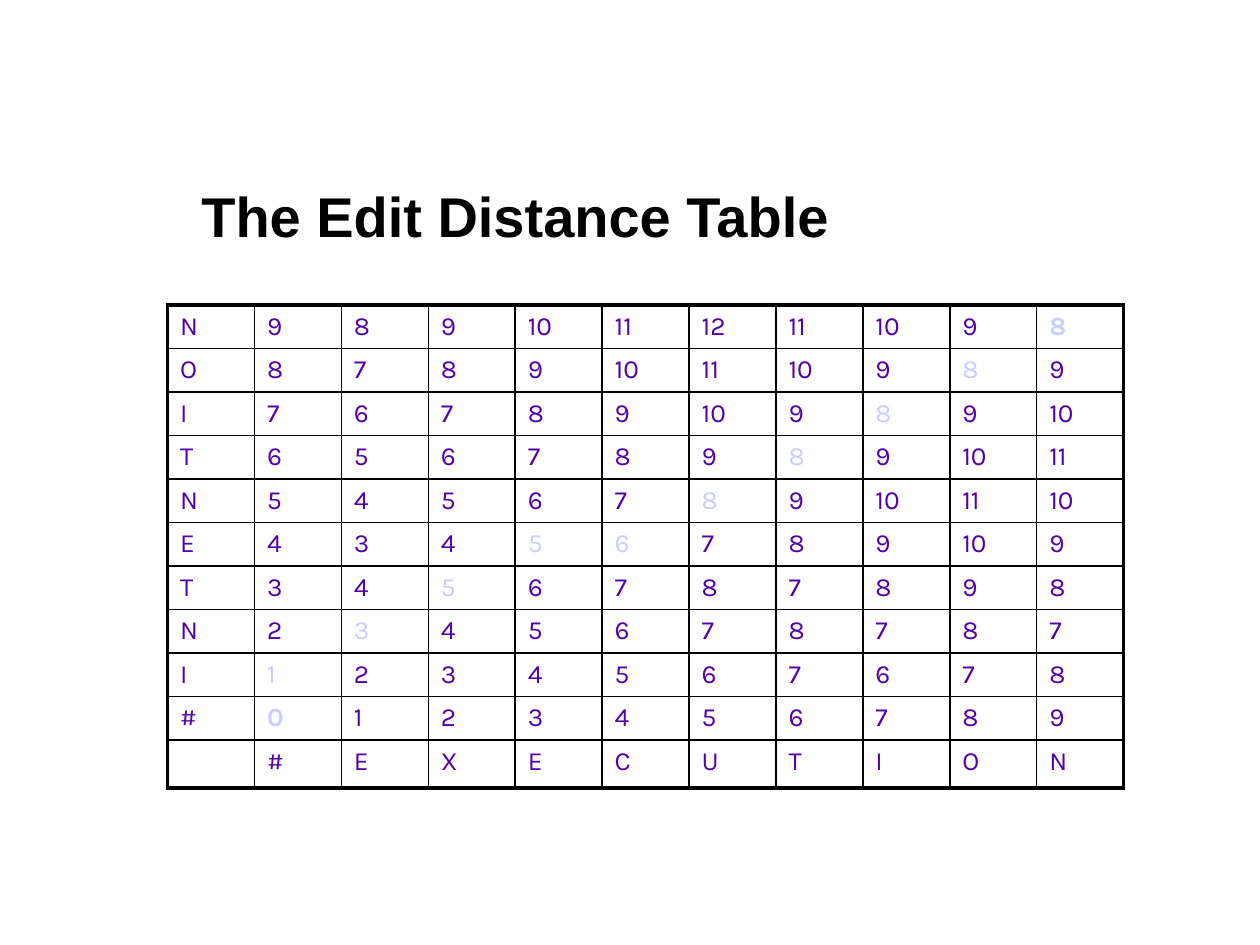
from lxml import etree
from pptx import Presentation
from pptx.dml.color import RGBColor
from pptx.enum.text import MSO_ANCHOR
from pptx.oxml.ns import qn
from pptx.util import Inches, Pt

TOP = MSO_ANCHOR.TOP

TITLE = "The Edit Distance Table"
DISTANCES = [
    ("N", 9, 8, 9, 10, 11, 12, 11, 10, 9, 8),
    ("O", 8, 7, 8, 9, 10, 11, 10, 9, 8, 9),
    ("I", 7, 6, 7, 8, 9, 10, 9, 8, 9, 10),
    ("T", 6, 5, 6, 7, 8, 9, 8, 9, 10, 11),
    ("N", 5, 4, 5, 6, 7, 8, 9, 10, 11, 10),
    ("E", 4, 3, 4, 5, 6, 7, 8, 9, 10, 9),
    ("T", 3, 4, 5, 6, 7, 8, 7, 8, 9, 8),
    ("N", 2, 3, 4, 5, 6, 7, 8, 7, 8, 7),
    ("I", 1, 2, 3, 4, 5, 6, 7, 6, 7, 8),
    ("#", 0, 1, 2, 3, 4, 5, 6, 7, 8, 9),
    ("", "#", "E", "X", "E", "C", "U", "T", "I", "O", "N"),
]
PATH_ENDS = {(0, 10), (9, 1)}
ALIGNMENT_PATH = PATH_ENDS | {
    (1, 9), (2, 8), (3, 7), (4, 6), (5, 5), (5, 4), (6, 3), (7, 2), (8, 1),
}

THEME = {
    "title": {"name": "Arial", "size": Pt(32), "bold": True},
    "cell": {"name": "Karla", "size": Pt(15), "bold": False},
    "path_end": {"name": "Karla", "size": Pt(15), "bold": True},
    "title_color": "000000",
    "cell_color": "5400A8",
    "path_color": "CCCCFF",
    "border_color": "000000",
    "outer_border": Pt(2.21),
    "inner_border": Pt(0.96),
}
SLIDE_SIZE = (10, 7.5)
TITLE_BOX = (1.5, 1.35, 8.17, 0.81)
TABLE_ORIGIN = (1.33, 2.42)
COLUMN_WIDTH = 0.69
ROW_HEIGHT = 0.32
LAST_ROW_HEIGHT = 0.38


def write(paragraph, text, style, color):
    run = paragraph.add_run()
    run.text = text
    for name, value in THEME[style].items():
        setattr(run.font, name, value)
    run.font.color.rgb = RGBColor.from_string(THEME[color])


def add_borders(cell, outer_sides):
    properties = cell._tc.get_or_add_tcPr()
    for index, side in enumerate(("L", "R", "T", "B")):
        width = THEME["outer_border" if outer_sides[side] else "inner_border"]
        line = etree.Element(qn("a:ln" + side), w=str(int(width)))
        fill = etree.SubElement(line, qn("a:solidFill"))
        etree.SubElement(fill, qn("a:srgbClr"), val=THEME["border_color"])
        properties.insert(index, line)


def add_distance_table(slide):
    row_count, column_count = len(DISTANCES), len(DISTANCES[0])
    heights = [ROW_HEIGHT] * (row_count - 1) + [LAST_ROW_HEIGHT]
    size = (COLUMN_WIDTH * column_count, sum(heights))
    frame = slide.shapes.add_table(
        row_count, column_count, *map(Inches, TABLE_ORIGIN + size)
    )
    table = frame.table
    table.first_row = False
    table.horz_banding = False
    for column in table.columns:
        column.width = Inches(COLUMN_WIDTH)
    for row, height in zip(table.rows, heights):
        row.height = Inches(height)
    for row_index, values in enumerate(DISTANCES):
        for column_index, value in enumerate(values):
            position = (row_index, column_index)
            cell = table.cell(*position)
            cell.vertical_anchor = TOP
            cell.fill.background()
            add_borders(cell, {
                "L": column_index == 0,
                "R": column_index == column_count - 1,
                "T": row_index == 0,
                "B": row_index == row_count - 1,
            })
            style = "path_end" if position in PATH_ENDS else "cell"
            color = "path_color" if position in ALIGNMENT_PATH else "cell_color"
            write(cell.text_frame.paragraphs[0], str(value), style, color)


def add_title(slide):
    text_frame = slide.shapes.add_textbox(*map(Inches, TITLE_BOX)).text_frame
    text_frame.word_wrap = True
    text_frame.vertical_anchor = TOP
    text_frame.margin_top = Inches(0.09)
    write(text_frame.paragraphs[0], TITLE, "title", "title_color")


def main():
    presentation = Presentation()
    presentation.slide_width, presentation.slide_height = map(Inches, SLIDE_SIZE)
    slide = presentation.slides.add_slide(presentation.slide_layouts[6])
    add_distance_table(slide)
    add_title(slide)
    presentation.save("out.pptx")


if __name__ == "__main__":
    main()
